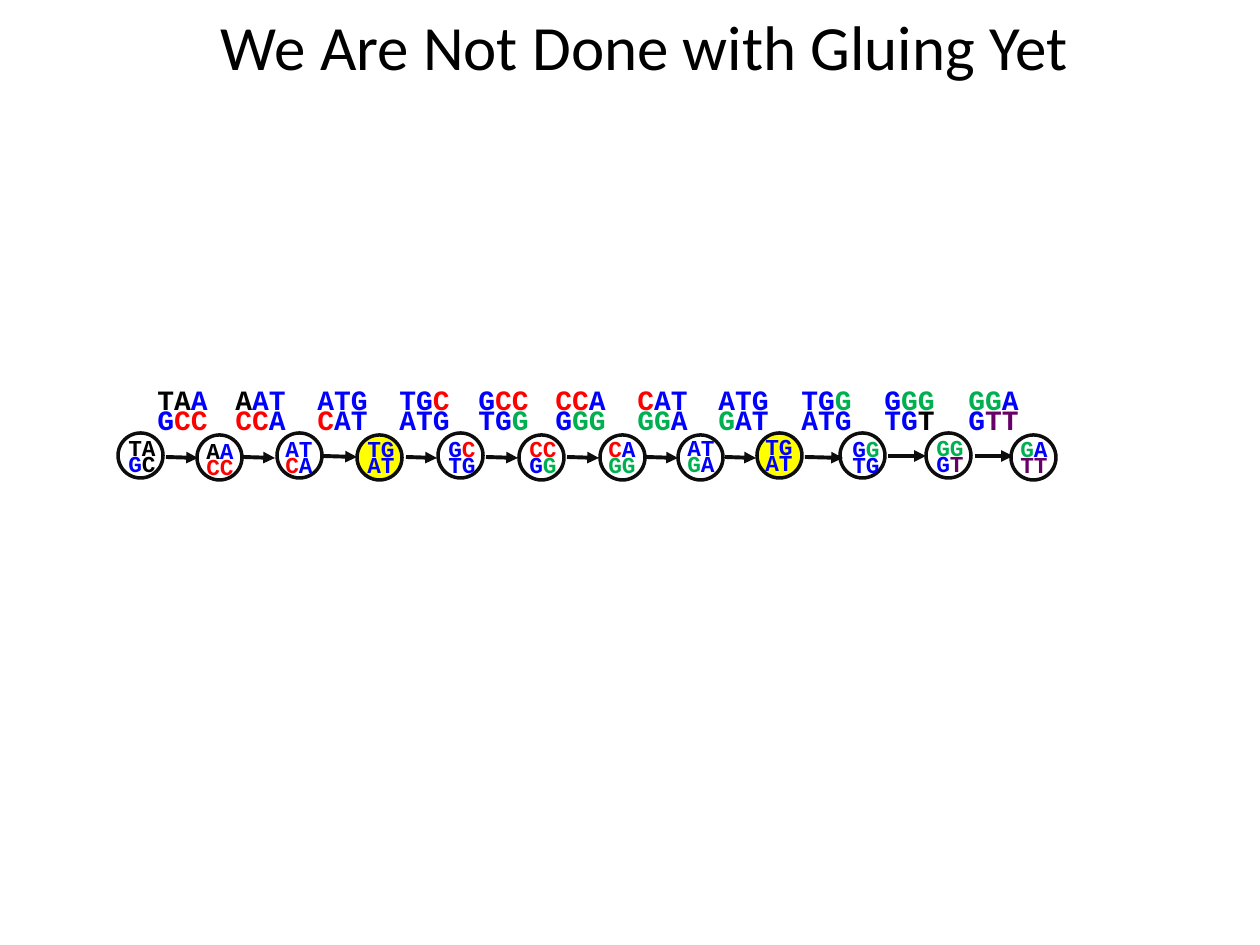
from pptx import Presentation
from pptx.dml.color import RGBColor
from pptx.enum.dml import MSO_LINE
from pptx.enum.shapes import MSO_CONNECTOR, MSO_SHAPE
from pptx.enum.text import MSO_ANCHOR, MSO_AUTO_SIZE, PP_ALIGN
from pptx.oxml import parse_xml
from pptx.oxml.ns import nsdecls
from pptx.util import Pt

EMU_PER_PX = 914400 / 126
BLACK = RGBColor(0x00, 0x00, 0x00)
INK = RGBColor(0x0D, 0x0D, 0x0D)
BLUE = RGBColor(0x00, 0x00, 0xFF)
RED = RGBColor(0xFF, 0x00, 0x00)
GREEN = RGBColor(0x00, 0xB0, 0x50)
PURPLE = RGBColor(0x66, 0x00, 0x66)
YELLOW = RGBColor(0xFF, 0xFF, 0x00)
LETTER_COLOURS = {"k": BLACK, "b": BLUE, "r": RED, "g": GREEN, "p": PURPLE}

NODE_SIZE = 45
NODES = [
    (118, 433, 116, 437, "TA GC", "kk bk"),
    (197, 435, 194, 440, "AA CC", "kb rr"),
    (277, 433, 273, 438, "AT CA", "bb rb"),
    (357, 435, 355, 438, "TG AT", "bb bb"),
    (438, 433, 436, 438, "GC TG", "br bb"),
    (519, 435, 517, 438, "CC GG", "rr bg"),
    (600, 435, 596, 438, "CA GG", "rb gg"),
    (678, 435, 675, 437, "AT GA", "bb gb"),
    (757, 433, 753, 436, "TG AT", "bb bb"),
    (840, 433, 840, 438, "GG TG", "bg bb"),
    (926, 433, 924, 437, "GG GT", "gg bp"),
    (1011, 435, 1008, 438, "GA TT", "gb pp"),
]
REPEATED_NODE = "TG AT"
ARROWS = [
    (166, 457, 198, 458), (243, 457, 275, 458), (323, 456, 357, 457),
    (406, 457, 437, 458), (486, 457, 518, 458), (567, 457, 599, 458),
    (646, 457, 678, 458), (725, 457, 756, 458), (805, 457, 843, 458),
    (888, 456, 926, 456), (975, 456, 1013, 456),
]
EDGE_TOP = 388
EDGES = [
    (145, "TAA GCC", "kkb brr"),
    (223, "AAT CCA", "kbb rrb"),
    (305, "ATG CAT", "bbb rbb"),
    (387, "TGC ATG", "bbr bbb"),
    (466, "GCC TGG", "brr bbg"),
    (543, "CCA GGG", "rrb bgg"),
    (625, "CAT GGA", "rbb ggb"),
    (706, "ATG GAT", "bbb gbb"),
    (789, "TGG ATG", "bbg bbb"),
    (872, "GGG TGT", "bgg bbk"),
    (956, "GGA GTT", "ggb bpp"),
]


def px(*lengths):
    """Turn pixel lengths into a list of EMU."""
    return [round(length * EMU_PER_PX) for length in lengths]


def apply(target, values):
    """Set each attribute named in values on target."""
    for name, value in values.items():
        setattr(target, name, value)


class GraphSlide:
    """Draws the elements of the path graph on one slide."""

    node_font = {"name": "Courier New", "size": Pt(13), "bold": True}
    edge_font = {"name": "Courier New", "size": Pt(16), "bold": True}
    title_font = {"name": "Calibri", "size": Pt(36), "bold": False}
    label_frame = {"word_wrap": False, "auto_size": MSO_AUTO_SIZE.SHAPE_TO_FIT_TEXT}
    title_frame = {"word_wrap": True, "vertical_anchor": MSO_ANCHOR.MIDDLE}

    def __init__(self, presentation):
        self.slide = presentation.slides.add_slide(presentation.slide_layouts[5])

    def title(self, text, box):
        """Fill and place the title placeholder."""
        title = self.slide.shapes.title
        apply(title, dict(zip(("left", "top", "width", "height"), px(*box))))
        apply(title.text_frame, self.title_frame)
        paragraph = title.text_frame.paragraphs[0]
        apply(paragraph, {"text": text, "alignment": PP_ALIGN.CENTER})
        apply(paragraph.font, self.title_font)
        paragraph.font.color.rgb = BLACK

    def arrow(self, *ends):
        """Draw a line with a triangle at its end."""
        connector = self.slide.shapes.add_connector(MSO_CONNECTOR.STRAIGHT, *px(*ends))
        line = connector.line
        line.color.rgb = INK
        apply(line, {"width": Pt(2.25), "dash_style": MSO_LINE.SOLID})
        head = parse_xml(f'<a:tailEnd {nsdecls("a")} type="triangle"/>')
        line._get_or_add_ln().append(head)
        connector._element.spPr.append(parse_xml(f'<a:effectLst {nsdecls("a")}/>'))

    def node(self, left, top, highlighted):
        """Draw a circle, filled when highlighted."""
        box = px(left, top, NODE_SIZE, NODE_SIZE)
        circle = self.slide.shapes.add_shape(MSO_SHAPE.OVAL, *box)
        circle.shadow.inherit = False
        if highlighted:
            circle.fill.solid()
            circle.fill.fore_color.rgb = YELLOW
        else:
            circle.fill.background()
        circle.line.color.rgb = INK
        circle.line.width = Pt(2)

    def label(self, box, lines, colours, font):
        """Write stacked letters, each in its own colour."""
        frame = self.slide.shapes.add_textbox(*px(*box)).text_frame
        apply(frame, self.label_frame)
        for index, (line, codes) in enumerate(zip(lines.split(), colours.split())):
            paragraph = frame.add_paragraph() if index else frame.paragraphs[0]
            paragraph.line_spacing = 0.6
            for letter, code in zip(line, codes):
                run = paragraph.add_run()
                run.text = letter
                apply(run.font, font)
                run.font.color.rgb = LETTER_COLOURS[code]


def main():
    """Build and save the slide."""
    presentation = Presentation()
    apply(presentation, dict(zip(("slide_width", "slide_height"), px(1260, 945))))
    graph = GraphSlide(presentation)
    graph.title("We Are Not Done with Gluing Yet", (9, 1, 1271, 89))
    for arrow in ARROWS:
        graph.arrow(*arrow)
    for left, top, _, _, lines, _ in NODES:
        graph.node(left, top, lines == REPEATED_NODE)
    for _, _, left, top, lines, colours in NODES:
        graph.label((left, top, 53, 45), lines, colours, graph.node_font)
    for left, lines, colours in EDGES:
        graph.label((left, EDGE_TOP, 77, 53), lines, colours, graph.edge_font)
    presentation.save("out.pptx")


if __name__ == "__main__":
    main()
